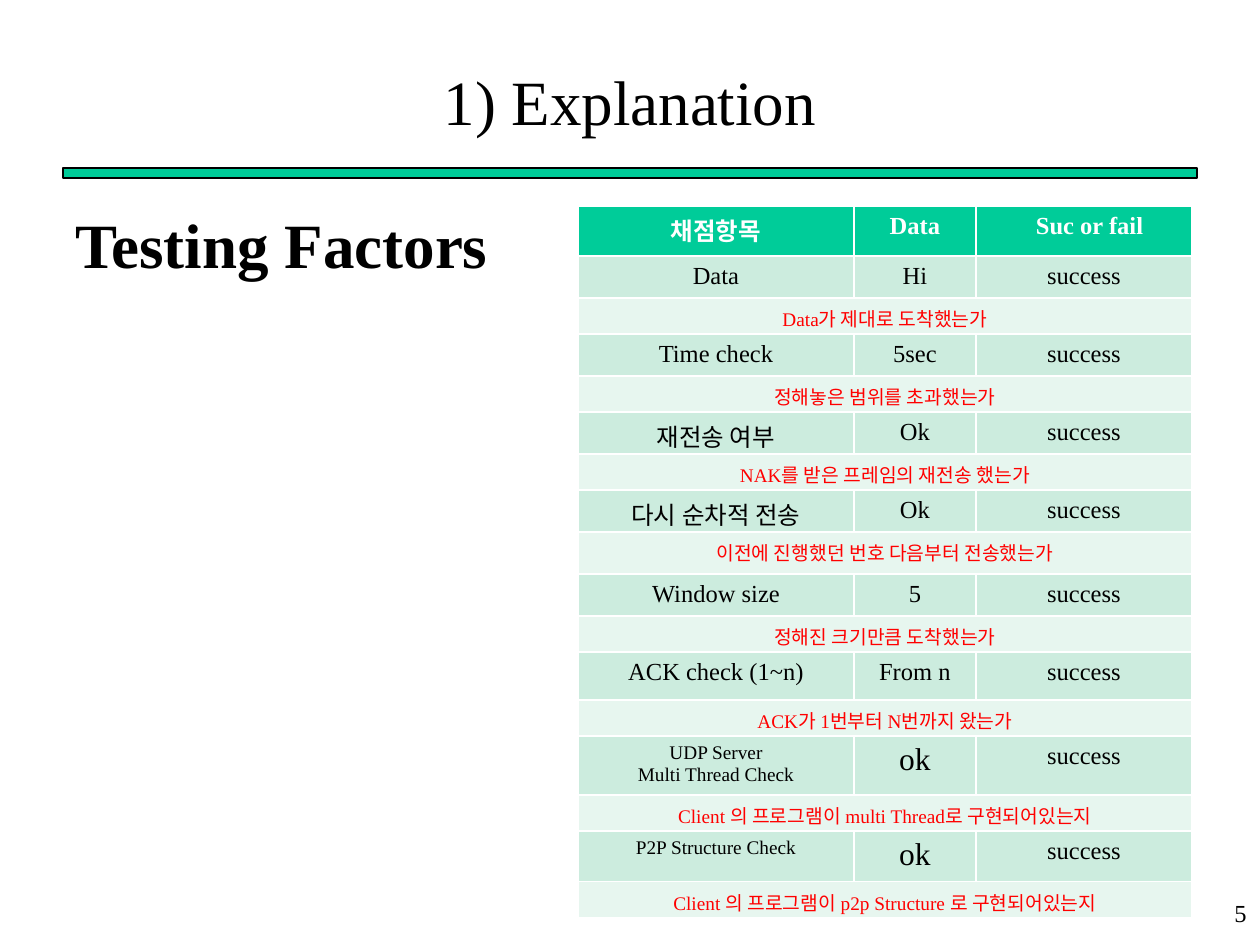
from pptx import Presentation
from pptx.dml.color import RGBColor
from pptx.enum.shapes import MSO_SHAPE
from pptx.enum.text import MSO_ANCHOR, PP_ALIGN
from pptx.util import Emu, Pt

SCALE = 914400 / 126
FONT = "Times New Roman"
COLORS = {"green": "00CC99", "item": "CCECDE", "note": "E7F6EF",
          "black": "000000", "white": "FFFFFF", "red": "FF0000"}


def px(n):
    return Emu(round(n * SCALE))


def write(tf, text, size, color="black", align=PP_ALIGN.CENTER, bold=False):
    for i, line in enumerate(text.split("\n")):
        p = tf.paragraphs[0] if i == 0 else tf.add_paragraph()
        p.text = line
        p.alignment = align
        p.font.name = FONT
        p.font.size = Pt(size)
        p.font.bold = bold
        p.font.color.rgb = RGBColor.from_string(COLORS[color])


prs = Presentation()
prs.slide_width, prs.slide_height = px(1260), px(945)
s = prs.slides.add_slide(prs.slide_layouts[6])

bar = s.shapes.add_shape(MSO_SHAPE.RECTANGLE, px(63), px(168), px(1134), px(10))
bar.shadow.inherit = False
bar.fill.solid()
bar.fill.fore_color.rgb = RGBColor.from_string(COLORS["green"])
bar.line.color.rgb = RGBColor.from_string(COLORS["black"])
bar.line.width = Pt(0.75)

texts = [
    ("1) Explanation", (63, 42, 1134, 116), 36, PP_ALIGN.CENTER, False, True),
    ("5", (997, 892, 262, 53), 14, PP_ALIGN.RIGHT, False, True),
    ("Testing Factors", (63, 199, 442, 89), 36, PP_ALIGN.LEFT, True, False),
]
for text, box, size, align, bold, wrap in texts:
    sp = s.shapes.add_textbox(*map(px, box))
    tf = sp.text_frame
    tf.word_wrap = wrap
    tf.vertical_anchor = MSO_ANCHOR.MIDDLE if text.startswith("1)") else MSO_ANCHOR.TOP
    write(tf, text, size, align=align, bold=bold)

header = ["채점항목", "Data", "Suc or fail"]
factors = [
    ("Data", "Hi", "Data가 제대로 도착했는가", 42, 36),
    ("Time check", "5sec", "정해놓은 범위를 초과했는가", 42, 36),
    ("재전송 여부", "Ok", "NAK를 받은 프레임의 재전송 했는가", 42, 36),
    ("다시 순차적 전송", "Ok", "이전에 진행했던 번호 다음부터 전송했는가", 42, 42),
    ("Window size", "5", "정해진 크기만큼 도착했는가", 42, 36),
    ("ACK check (1~n)", "From n", "ACK가 1번부터 N번까지 왔는가", 48, 36),
    ("UDP Server\nMulti Thread Check", "ok",
     "Client 의 프로그램이 multi Thread로 구현되어있는지", 59, 36),
    ("P2P Structure Check", "ok",
     "Client 의 프로그램이 p2p Structure 로 구현되어있는지", 50, 36),
]
heights = [50] + [h for f in factors for h in f[3:]]
widths = [276, 122, 216]
table = s.shapes.add_table(len(heights), len(widths), px(578), px(206),
                           px(sum(widths)), px(sum(heights))).table
for col, w in zip(table.columns, widths):
    col.width = px(w)
for row, h in zip(table.rows, heights):
    row.height = px(h)

for r in range(len(heights)):
    fill = "green" if r == 0 else "item" if r % 2 else "note"
    for cell in table.rows[r].cells:
        cell.fill.solid()
        cell.fill.fore_color.rgb = RGBColor.from_string(COLORS[fill])

for c, text in enumerate(header):
    write(table.cell(0, c).text_frame, text, 14, "white", bold=True)
table.cell(0, 2).margin_left = px(24)

for i, (name, data, note, *_) in enumerate(factors):
    r = 2 * i + 1
    small = i >= 6
    values = [(name, 11 if small else 14), (data, 18 if small else 14), ("success", 14)]
    for c, (text, size) in enumerate(values):
        write(table.cell(r, c).text_frame, text, size)
    table.cell(r + 1, 0).merge(table.cell(r + 1, 2))
    write(table.cell(r + 1, 0).text_frame, note, 11, "red")

prs.save("out.pptx")
